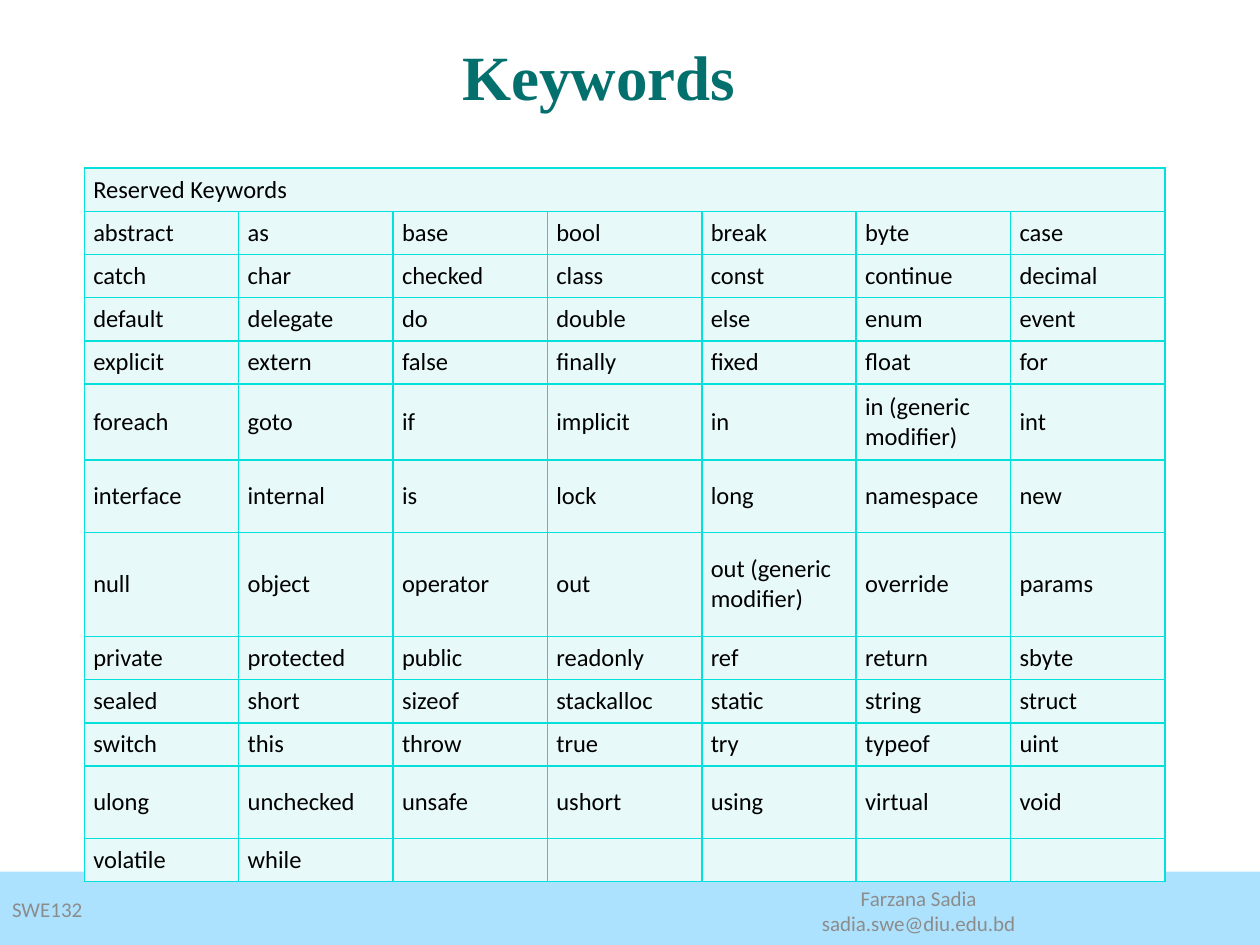
from lxml import etree
from pptx import Presentation
from pptx.dml.color import RGBColor
from pptx.enum import shapes, text
from pptx.oxml.ns import qn
from pptx.util import Cm, Pt

BORDER, CELL, BAND, GREY, TEAL, BLACK = (
    "05E0DB", "E7F9F8", "ADE2FE", "8C8C8C", "03706E", "000000")
BODY = {"name": "Calibri", "size": Pt(14)}
FOOTER = {"name": "Calibri", "size": Pt(12)}
TITLE = {"name": "Times New Roman", "size": Pt(36), "bold": True}

ROW = 0.87
TALL_ROWS = {5: 1.53, 6: 1.46, 7: 2.1, 11: 1.46}
COLUMNS = 7
KEYWORDS = [
    "abstract", "as", "base", "bool", "break", "byte", "case",
    "catch", "char", "checked", "class", "const", "continue", "decimal",
    "default", "delegate", "do", "double", "else", "enum", "event",
    "explicit", "extern", "false", "finally", "fixed", "float", "for",
    "foreach", "goto", "if", "implicit", "in", "in (generic modifier)", "int",
    "interface", "internal", "is", "lock", "long", "namespace", "new",
    "null", "object", "operator", "out", "out (generic modifier)", "override", "params",
    "private", "protected", "public", "readonly", "ref", "return", "sbyte",
    "sealed", "short", "sizeof", "stackalloc", "static", "string", "struct",
    "switch", "this", "throw", "true", "try", "typeof", "uint",
    "ulong", "unchecked", "unsafe", "ushort", "using", "virtual", "void",
    "volatile", "while",
]


def rgb(color):
    return RGBColor.from_string(color)


def set_attrs(obj, values):
    for name, value in values.items():
        setattr(obj, name, value)


def add_run(p, words, font, color):
    r = p.add_run()
    r.text = words
    set_attrs(r.font, font)
    r.font.color.rgb = rgb(color)


def add_text(s, box, lines, font, color, align, anchor):
    tf = s.shapes.add_textbox(*map(Cm, box)).text_frame
    set_attrs(tf, {"word_wrap": True, "vertical_anchor": anchor})
    for i, line in enumerate(lines):
        p = tf.add_paragraph() if i else tf.paragraphs[0]
        p.alignment = align
        add_run(p, line, font, color)


def add_footer(s, left, top, width, height):
    sp = s.shapes.add_shape(shapes.MSO_SHAPE.RECTANGLE,
                            *map(Cm, (left, top, width, height)))
    sp.shadow.inherit = False
    sp.fill.solid()
    sp.fill.fore_color.rgb = rgb(BAND)
    sp.line.fill.background()
    middle = text.MSO_ANCHOR.MIDDLE
    add_text(s, (left + 16.08, top + 0.3, 4.88, 0.97),
             ["Farzana Sadia", "sadia.swe@diu.edu.bd"],
             FOOTER, GREY, text.PP_ALIGN.CENTER, middle)
    add_text(s, (left - 0.2, top + 0.25, 2.11, 1.02), ["SWE132"],
             FOOTER, GREY, text.PP_ALIGN.RIGHT, middle)


def set_borders(cell):
    tcPr = cell._tc.get_or_add_tcPr()
    for i, side in enumerate(("lnL", "lnR", "lnT", "lnB")):
        ln = etree.Element(qn(f"a:{side}"), w=str(Pt(1)))
        fill = etree.SubElement(ln, qn("a:solidFill"))
        etree.SubElement(fill, qn("a:srgbClr"), val=BORDER)
        tcPr.insert(i, ln)


def format_cell(cell, words):
    set_attrs(cell, {"margin_left": Cm(0.18), "margin_right": Cm(0.18),
                     "margin_top": Cm(0.1), "margin_bottom": Cm(0.1),
                     "vertical_anchor": text.MSO_ANCHOR.MIDDLE})
    cell.fill.solid()
    cell.fill.fore_color.rgb = rgb(CELL)
    set_borders(cell)
    p = cell.text_frame.paragraphs[0]
    if words:
        add_run(p, words, BODY, BLACK)
    else:  # keeps an empty cell from stretching its row
        etree.SubElement(p._p, qn("a:endParaRPr"), sz="1400")


def add_keyword_table(s, left, top, width):
    count = 1 + -(-len(KEYWORDS) // COLUMNS)
    heights = [TALL_ROWS.get(i, ROW) for i in range(count)]
    table = s.shapes.add_table(
        count, COLUMNS, *map(Cm, (left, top, width, sum(heights)))).table
    set_attrs(table, {"first_row": False, "horz_banding": False})
    for column in table.columns:
        column.width = Cm(width / COLUMNS)
    for row, height in zip(table.rows, heights):
        row.height = Cm(height)
    header = ["Reserved Keywords"] + [""] * (COLUMNS - 1)
    words = header + KEYWORDS
    words += [""] * (count * COLUMNS - len(words))
    for i, word in enumerate(words):
        format_cell(table.cell(*divmod(i, COLUMNS)), word)
    table.cell(0, 0).merge(table.cell(0, COLUMNS - 1))


def main():
    prs = Presentation()
    set_attrs(prs, {"slide_width": Cm(25.4), "slide_height": Cm(19.05)})
    s = prs.slides.add_slide(prs.slide_layouts[6])
    add_footer(s, 0, 17.57, 25.4, 1.48)
    add_keyword_table(s, 1.7, 3.39, 21.79)
    add_text(s, (0.64, 0.64, 22.86, 3.18), ["Keywords"], TITLE, TEAL,
             text.PP_ALIGN.CENTER, text.MSO_ANCHOR.TOP)
    prs.save("out.pptx")


if __name__ == "__main__":
    main()
